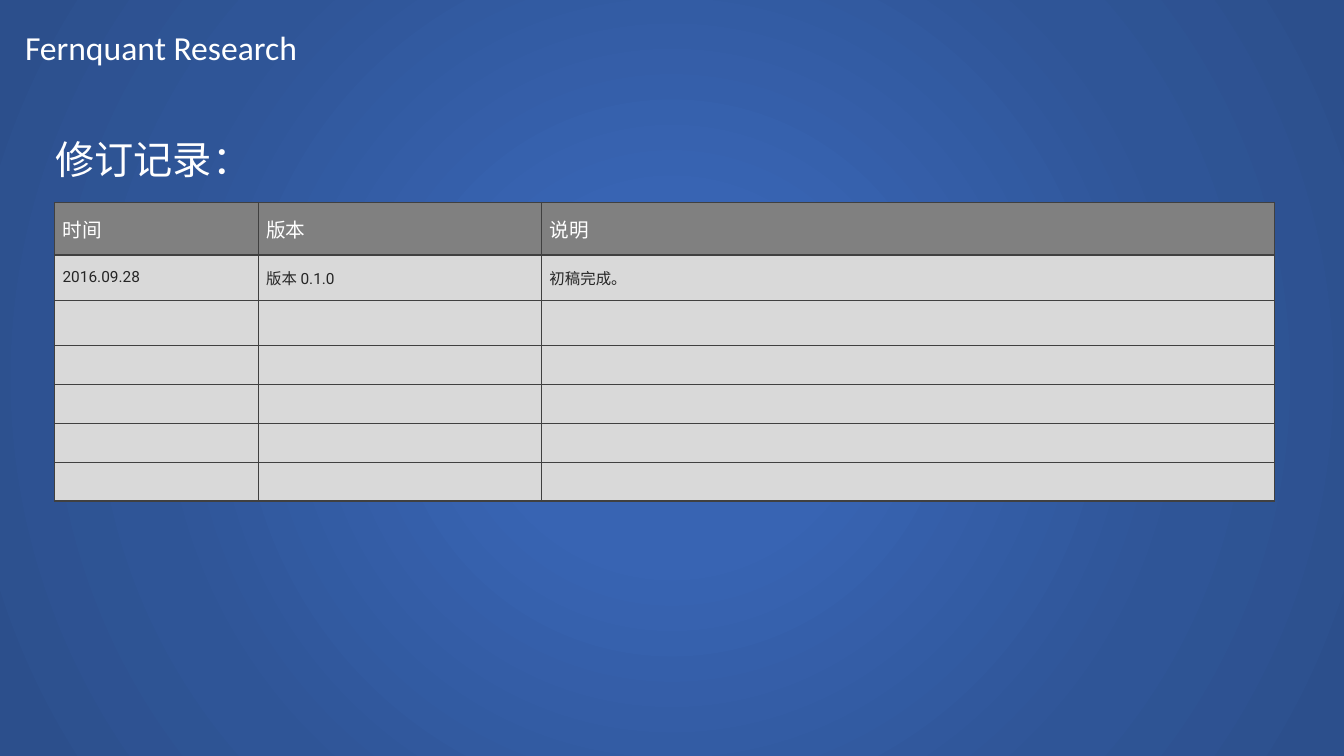
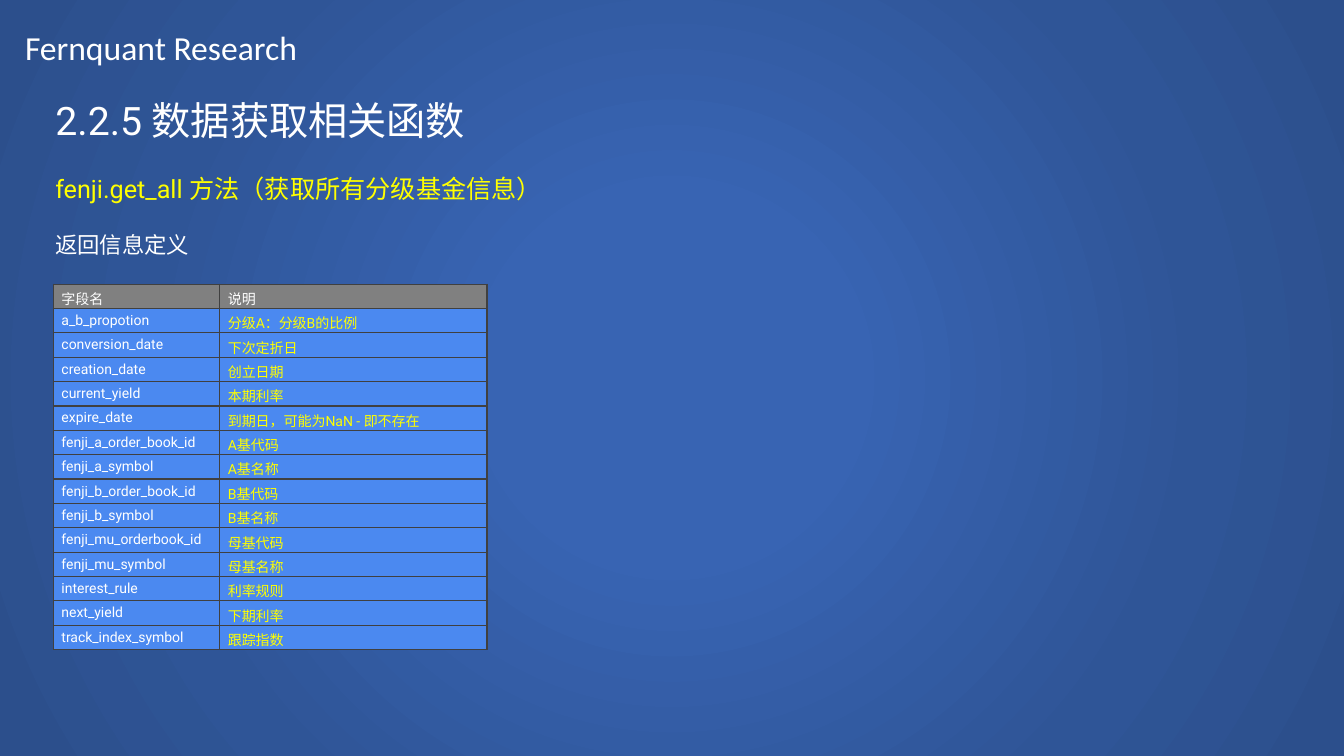
"""Build two data-research slides: a revision log and a field reference."""
from pptx import Presentation
from pptx.dml.color import RGBColor
from pptx.enum.shapes import MSO_SHAPE
from pptx.enum.text import MSO_ANCHOR, MSO_AUTO_SIZE, PP_ALIGN
from pptx.oxml import parse_xml
from pptx.oxml.ns import nsdecls, qn
from pptx.util import Inches, Pt

COLORS = {
    "white": "FFFFFF",
    "yellow": "FFFF00",
    "ink": "262626",
    "border": "404040",
    "header": "808080",
    "light_cell": "D9D9D9",
    "blue_cell": "4B89F0",
    "center": "3864B3",
    "middle": "2F5597",
    "edge": "2C4F8C",
}
GRADIENT = [(0, "center"), (23, "center"), (69, "middle"), (97, "edge")]
BODY_FONT = "Roboto"
BRAND_FONT = "Calibri"
BRAND = "Fernquant Research"
TEXT_LEFT, TEXT_WIDTH = 0.45, 11.77

REVISIONS = [
    ("时间", "版本", "说明"),
    ("2016.09.28", "版本 0.1.0", "初稿完成。"),
] + [("", "", "")] * 5

FIELDS = [
    ("字段名", "说明"),
    ("a_b_propotion", "分级A：分级B的比例"),
    ("conversion_date", "下次定折日"),
    ("creation_date", "创立日期"),
    ("current_yield", "本期利率"),
    ("expire_date", "到期日，可能为NaN - 即不存在"),
    ("fenji_a_order_book_id", "A基代码"),
    ("fenji_a_symbol", "A基名称"),
    ("fenji_b_order_book_id", "B基代码"),
    ("fenji_b_symbol", "B基名称"),
    ("fenji_mu_orderbook_id", "母基代码"),
    ("fenji_mu_symbol", "母基名称"),
    ("interest_rule", "利率规则"),
    ("next_yield", "下期利率"),
    ("track_index_symbol", "跟踪指数"),
]


class Deck:
    """Hold the shared style and the current slide."""

    def __init__(self):
        self.presentation = Presentation()
        self.presentation.slide_width = Inches(13.33)
        self.presentation.slide_height = Inches(7.5)
        self.slide = None

    def add_backdrop(self):
        """Cover the slide with a radial gradient behind everything else."""
        shape = self.slide.shapes.add_shape(
            MSO_SHAPE.RECTANGLE, 0, 0,
            self.presentation.slide_width, self.presentation.slide_height,
        )
        shape.shadow.inherit = False
        shape.line.fill.background()
        shape.fill.gradient()
        stops = "".join(
            f'<a:gs pos="{position * 1000}"><a:srgbClr val="{COLORS[color]}"/></a:gs>'
            for position, color in GRADIENT
        )
        gradient = parse_xml(
            f'<a:gradFill {nsdecls("a")} rotWithShape="1"><a:gsLst>{stops}</a:gsLst>'
            '<a:path path="circle">'
            '<a:fillToRect l="50000" t="50000" r="50000" b="50000"/>'
            "</a:path></a:gradFill>"
        )
        plain = shape.element.spPr.find(qn("a:gradFill"))
        plain.getparent().replace(plain, gradient)
        shape.element.getparent().insert(2, shape.element)

    def add_slide(self, title, top):
        """Start a slide with its backdrop, title and brand line."""
        layout = self.presentation.slide_layouts.get_by_name("Title Only")
        self.slide = self.presentation.slides.add_slide(layout)
        self.add_backdrop()
        shape = self.slide.shapes.title
        shape.left, shape.top = Inches(TEXT_LEFT), Inches(top)
        shape.width, shape.height = Inches(TEXT_WIDTH), Inches(0.57)
        self.write_lines(shape.text_frame, [(title, 28, "white", 0)])
        self.add_text(0.15, 0.22, 5.04, 0.5, [(BRAND, 24, "white", 0)], BRAND_FONT)

    def add_text(self, left, top, width, height, lines, font=BODY_FONT):
        """Add a text box with one paragraph per line."""
        shape = self.slide.shapes.add_textbox(
            Inches(left), Inches(top), Inches(width), Inches(height)
        )
        self.write_lines(shape.text_frame, lines, font)

    def write_lines(self, frame, lines, font=BODY_FONT):
        """Fill a frame from (text, size, color, space before) lines."""
        frame.word_wrap = True
        frame.auto_size = MSO_AUTO_SIZE.NONE
        frame.vertical_anchor = MSO_ANCHOR.TOP
        for index, (text, size, color, space) in enumerate(lines):
            paragraph = frame.add_paragraph() if index else frame.paragraphs[0]
            paragraph.alignment = PP_ALIGN.LEFT
            paragraph.space_before = Pt(space)
            self.add_run(paragraph, text, size, color, font)

    def add_run(self, paragraph, text, size, color, font=BODY_FONT):
        """Add one formatted run."""
        run = paragraph.add_run()
        run.text = text
        run.font.name = font
        run.font.size = Pt(size)
        run.font.color.rgb = RGBColor.from_string(COLORS[color])

    def add_table(self, left, top, widths, heights, rows, sizes, fill, colors,
                  compact=False):
        """Add a bordered table with a grey header row."""
        table = self.slide.shapes.add_table(
            len(rows), len(widths), Inches(left), Inches(top),
            Inches(sum(widths)), Inches(sum(heights)),
        ).table
        table.first_row = table.horz_banding = False
        for column, width in zip(table.columns, widths):
            column.width = Inches(width)
        for row, height in zip(table.rows, heights):
            row.height = Inches(height)
        header_size, body_size = sizes
        for row_index, texts in enumerate(rows):
            for column_index, text in enumerate(texts):
                cell = table.cell(row_index, column_index)
                if row_index == 0:
                    self.fill_cell(cell, text, header_size, "white", "header")
                else:
                    self.fill_cell(cell, text, body_size, colors[column_index], fill)
                if compact and not text.isascii():
                    cell.margin_bottom = 0

    def fill_cell(self, cell, text, size, color, fill):
        """Set the text, fill, margins and borders of a cell."""
        cell.vertical_anchor = MSO_ANCHOR.MIDDLE
        cell.margin_left = cell.margin_right = Inches(0.08)
        cell.margin_top = cell.margin_bottom = Inches(0.04)
        cell.fill.solid()
        cell.fill.fore_color.rgb = RGBColor.from_string(COLORS[fill])
        if text:
            self.add_run(cell.text_frame.paragraphs[0], text, size, color)
        properties = cell._tc.get_or_add_tcPr()
        for index, side in enumerate("LRTB"):
            properties.insert(index, parse_xml(
                f'<a:ln{side} {nsdecls("a")} w="{Pt(1)}"><a:solidFill>'
                f'<a:srgbClr val="{COLORS["border"]}"/></a:solidFill></a:ln{side}>'
            ))


def main():
    """Build and save the slides."""
    deck = Deck()

    deck.add_slide("修订记录：", 1.29)
    deck.add_table(
        0.54, 2.01, [2.02, 2.81, 7.27], [0.52, 0.45, 0.45] + [0.38] * 4,
        REVISIONS, (14, 11), "light_cell", ["ink"] * 3,
    )

    deck.add_slide("2.2.5 数据获取相关函数", 0.91)
    deck.add_text(TEXT_LEFT, 1.67, TEXT_WIDTH, 1, [
        ("fenji.get_all 方法（获取所有分级基金信息）", 18, "yellow", 0),
        ("返回信息定义", 16, "white", 20),
    ])
    deck.add_table(
        0.53, 2.82, [1.65, 2.65], [0.24] * len(FIELDS),
        FIELDS, (10, 10), "blue_cell", ["white", "yellow"], compact=True,
    )

    deck.presentation.save("out.pptx")


if __name__ == "__main__":
    main()
